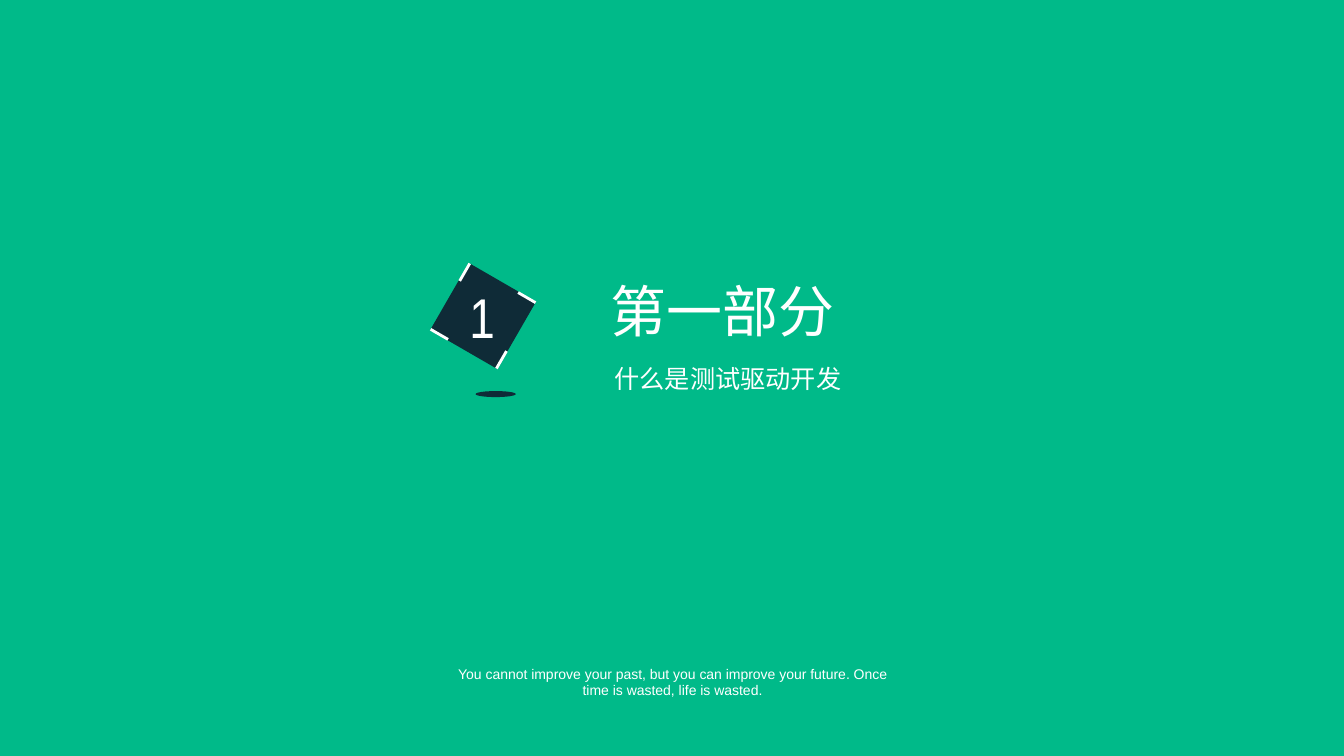
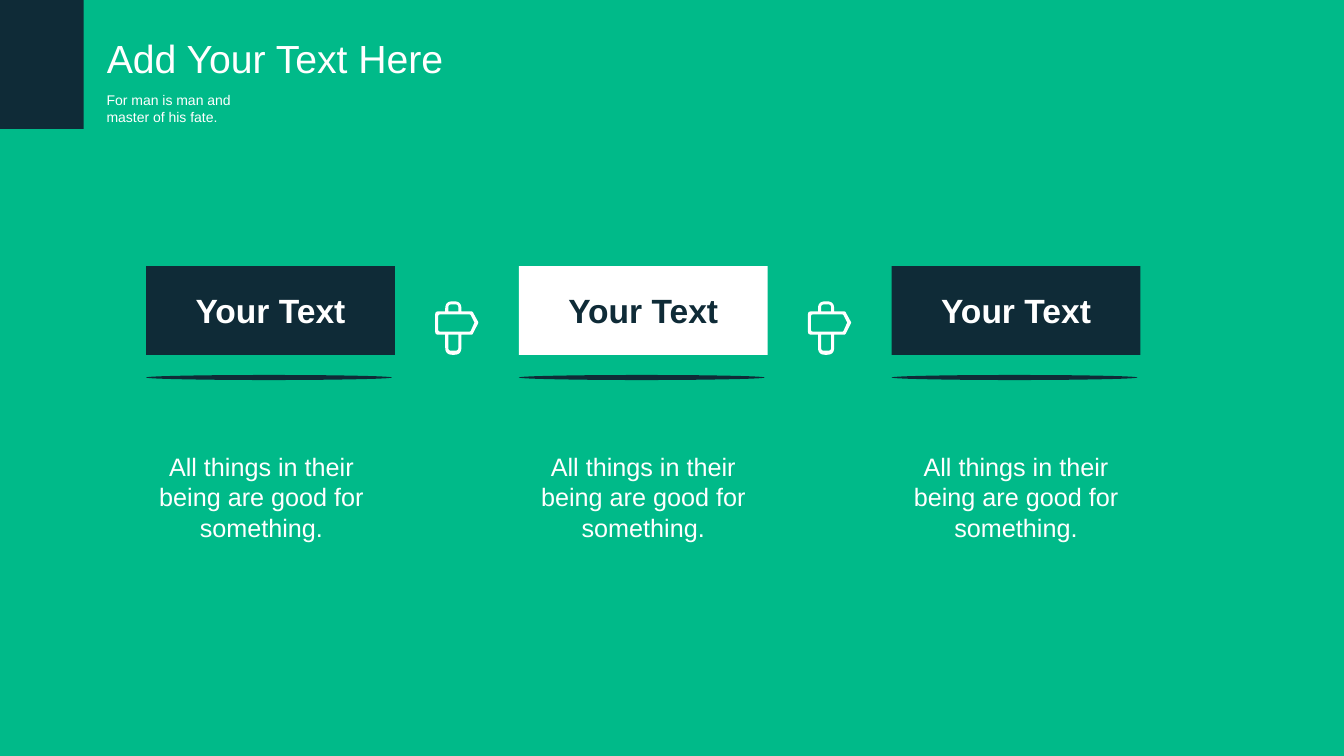
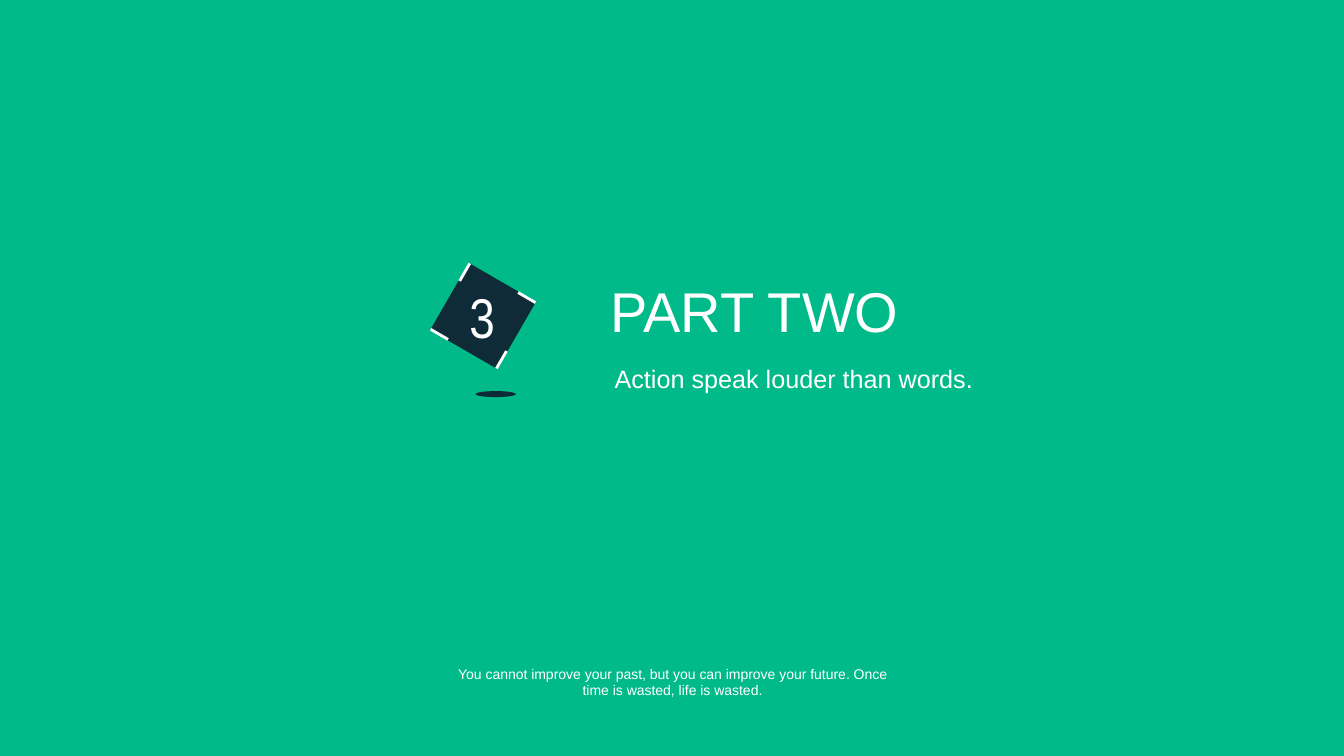
from dataclasses import dataclass
from math import cos, radians, sin

from pptx import Presentation
from pptx.dml.color import RGBColor
from pptx.enum.shapes import MSO_CONNECTOR as Connector, MSO_SHAPE as Shape
from pptx.enum.text import MSO_ANCHOR as Anchor, MSO_AUTO_SIZE as AutoSize, PP_ALIGN as Align
from pptx.oxml.xmlchemy import OxmlElement
from pptx.util import Inches, Pt


@dataclass(frozen=True)
class Theme:
    green: RGBColor = RGBColor(0x00, 0xBA, 0x89)
    navy: RGBColor = RGBColor(0x0F, 0x2B, 0x37)
    white: RGBColor = RGBColor(0xFF, 0xFF, 0xFF)
    font: str = "Arial"
    number_font: str = "Arial Narrow"
    section: int = 40
    heading: int = 28
    label: int = 24
    body: int = 18
    small: int = 10


THEME = Theme()
TITLE_LAYOUT, TITLE_ONLY_LAYOUT = 0, 5
MOTTO = ("You cannot improve your past, but you can improve your future. "
         "Once time is wasted, life is wasted.")
SIGN_CONTOURS = [
    [(0.10, 0, 0.07), (0.26, 0, 0.07), (0.26, 0.10, 0), (0.37, 0.10, 0.01),
     (0.43, 0.21, 0.01), (0.37, 0.33, 0.01), (0.26, 0.33, 0), (0.26, 0.53, 0.07),
     (0.10, 0.53, 0.07), (0.10, 0.33, 0), (0, 0.33, 0.03), (0, 0.10, 0.03), (0.10, 0.10, 0)],
    [(0.13, 0.03, 0.03), (0.23, 0.03, 0.03), (0.23, 0.10, 0), (0.13, 0.10, 0)],
    [(0.13, 0.33, 0), (0.23, 0.33, 0), (0.23, 0.49, 0.03), (0.13, 0.49, 0.03)],
    [(0.03, 0.13, 0.02), (0.35, 0.13, 0.01), (0.39, 0.21, 0), (0.35, 0.30, 0.01),
     (0.03, 0.30, 0.02)],
]


def write(holder, text, size, color=THEME.white, font=THEME.font, align=Align.LEFT,
          bold=False, anchor=Anchor.TOP):
    frame = holder.text_frame
    frame.word_wrap = True
    frame.auto_size = AutoSize.NONE
    frame.vertical_anchor = anchor
    paragraph = frame.paragraphs[0]
    paragraph.alignment = align
    paragraph.space_before = Pt(0)
    run = paragraph.add_run()
    run.text = text
    run.font.size = Pt(size)
    run.font.name = font
    run.font.bold = bold
    run.font.color.rgb = color


def place(holder, left, top, width, height):
    holder.left, holder.top = Inches(left), Inches(top)
    holder.width, holder.height = Inches(width), Inches(height)
    return holder


def add_text(parent, box, text, size, **style):
    caption = parent.shapes.add_textbox(*map(Inches, box))
    write(caption, text, size, **style)


def paint(shape, color):
    shape.shadow.inherit = False
    shape.fill.solid()
    shape.fill.fore_color.rgb = color
    shape.line.fill.background()


def add_block(parent, kind, box, color):
    block = parent.shapes.add_shape(kind, *map(Inches, box))
    paint(block, color)
    return block


def add_tick(parent, start, end):
    tick = parent.shapes.add_connector(Connector.STRAIGHT, *map(Inches, start + end))
    tick.line.color.rgb = THEME.white
    tick.line.width = Pt(2)
    tick._element.spPr.append(OxmlElement("a:effectLst"))


def rotate(x, y, degrees):
    angle = radians(degrees)
    return x * cos(angle) - y * sin(angle), x * sin(angle) + y * cos(angle)


def toward(start, end, distance):
    dx, dy = end[0] - start[0], end[1] - start[1]
    share = distance / (dx * dx + dy * dy) ** 0.5
    return start[0] + dx * share, start[1] + dy * share


def round_corners(corners, steps=6):
    points = []
    for i, (x, y, radius) in enumerate(corners):
        if not radius:
            points.append((x, y))
            continue
        entry = toward((x, y), corners[i - 1], radius)
        leave = toward((x, y), corners[(i + 1) % len(corners)], radius)
        for step in range(steps + 1):
            t = step / steps
            points.append(tuple((1 - t) ** 2 * a + 2 * t * (1 - t) * b + t * t * c
                                for a, b, c in zip(entry, (x, y), leave)))
    return [(Inches(x), Inches(y)) for x, y in points]


def add_signpost(slide, left, top):
    outline, *holes = [round_corners(contour) for contour in SIGN_CONTOURS]
    builder = slide.shapes.build_freeform(*outline[0])
    builder.add_line_segments(outline[1:], close=True)
    for hole in holes:
        builder.move_to(*hole[0])
        builder.add_line_segments(hole[1:], close=True)
    paint(builder.convert_to_shape(Inches(left), Inches(top)), THEME.white)


def add_number_badge(slide, left, top, number, side=0.77, tilt=30, tick=0.2):
    badge = slide.shapes.add_group_shape()

    class_box = (left, top, side, side)
    add_block(badge, Shape.RECTANGLE, class_box, THEME.navy).rotation = tilt
    half = side / 2
    for turn in range(4):
        ends = [rotate(0.01 - half, y, tilt + 90 * turn) for y in (-half, tick - half)]
        add_tick(badge, *[(left + half + x, top + half + y) for x, y in ends])
    add_text(badge, (left + 0.15, top, 0.55, side), number, THEME.section,
             font=THEME.number_font)
    add_block(slide, Shape.OVAL, (left + 0.31, top + 1.13, 0.4, 0.06), THEME.navy)


def add_section_slide(deck, number, title, subtitle):
    slide = deck.slides.add_slide(deck.slide_layouts[TITLE_LAYOUT])
    write(place(slide.shapes.title, 5.96, 2.69, 3.59, 0.77), title, THEME.section)
    write(place(slide.placeholders[1], 6, 3.55, 3.8, 0.4), subtitle, THEME.body)
    add_number_badge(slide, 4.41, 2.75, number)
    add_text(slide, (4.39, 6.55, 4.57, 0.44), MOTTO, THEME.small, align=Align.CENTER)


def add_header(slide, title, tagline):
    write(place(slide.shapes.title, 0.96, 0.29, 3.7, 1.04), title, THEME.heading)
    add_block(slide, Shape.RECTANGLE, (0, 0, 0.83, 1.28), THEME.navy)
    add_text(slide, (0.96, 0.86, 1.72, 0.44), tagline, THEME.small)


def add_card(slide, left, top, fill, ink, caption_shift):
    card = add_block(slide, Shape.RECTANGLE, (left, top, 2.47, 0.88), fill)
    write(card, "Your Text", THEME.label, color=ink, align=Align.CENTER, bold=True,
          anchor=Anchor.MIDDLE)
    add_block(slide, Shape.OVAL, (left, top + 1.08, 2.44, 0.05), THEME.navy)
    add_text(slide, (left + caption_shift, top + 1.79, 2.63, 1),
             "All things in their being are good for something.", THEME.body,
             align=Align.CENTER)


def add_cards_slide(deck, left=1.45, top=2.64, pitch=3.7):
    slide = deck.slides.add_slide(deck.slide_layouts[TITLE_ONLY_LAYOUT])
    add_header(slide, "Add Your Text Here", "For man is man and master of his fate.")
    cards = [(THEME.navy, THEME.white, -0.17),
             (THEME.white, THEME.navy, -0.08),
             (THEME.navy, THEME.white, -0.08)]
    for column, card in enumerate(cards):
        card_left = left + column * pitch
        add_card(slide, card_left, top, *card)
        if column < len(cards) - 1:
            add_signpost(slide, card_left + 2.87, top + 0.35)


def main():
    deck = Presentation()
    deck.slide_width, deck.slide_height = Inches(13.34), Inches(7.5)
    backdrop = deck.slide_master.background.fill
    backdrop.solid()
    backdrop.fore_color.rgb = THEME.green
    add_section_slide(deck, "1", "第一部分", "什么是测试驱动开发")
    add_cards_slide(deck)
    add_section_slide(deck, "3", "PART TWO", "Action speak louder than words.")
    deck.save("out.pptx")


if __name__ == "__main__":
    main()
